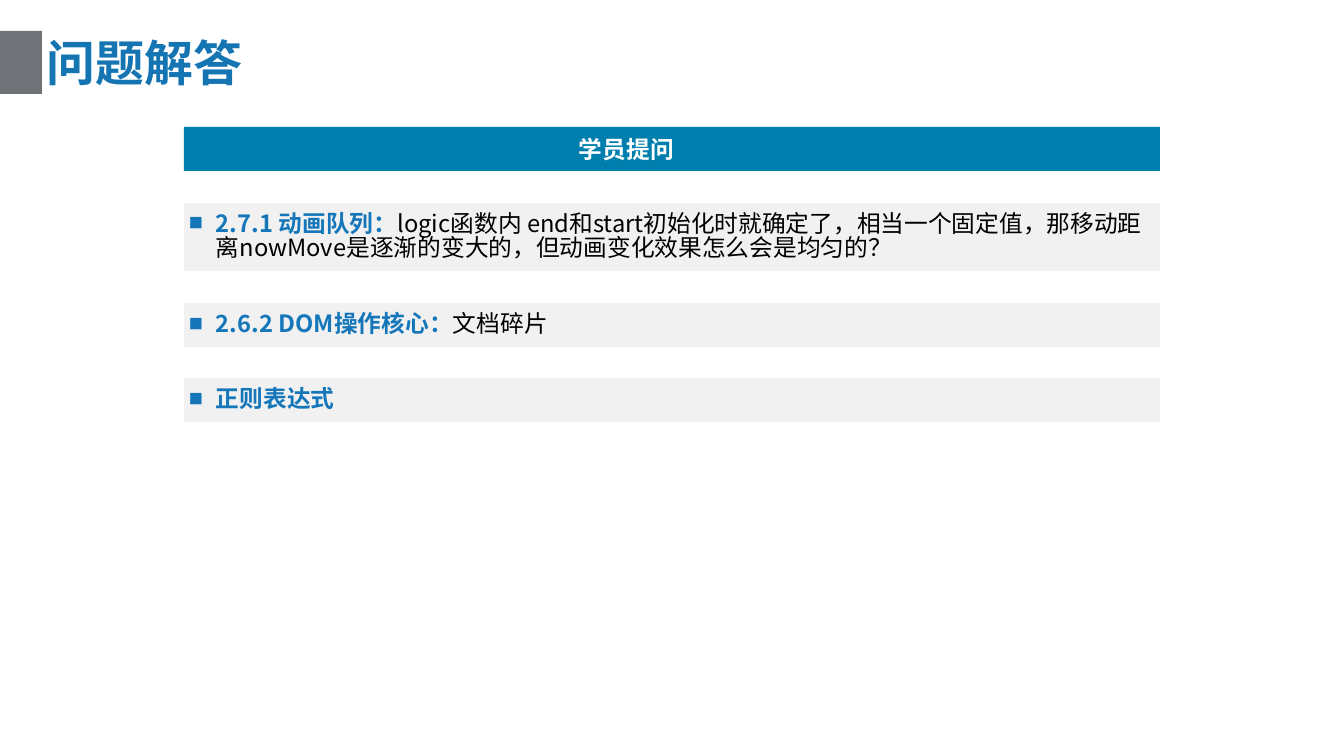
from lxml.etree import SubElement
from pptx import Presentation
from pptx.dml.color import RGBColor
from pptx.enum.shapes import MSO_SHAPE as Shape
from pptx.enum.text import MSO_ANCHOR as Anchor, PP_ALIGN as Align
from pptx.oxml.ns import qn
from pptx.util import Pt

EMU_PER_PX = 17145
FONT = "Noto Sans CJK SC"
COLORS = {
    "title": "1475B2",
    "marker": "6F7378",
    "header": "007FAE",
    "row": "F1F1F1",
    "topic": "1577BA",
    "white": "FFFFFF",
    "black": "000000",
}
BAR_LEFT, BAR_WIDTH, BAR_HEIGHT = 184, 976, 44
INSET = 5
BULLET_INDENT = 27
HEADER_INDENT = 390

# Top, height, topic and question of each row
QUESTIONS = [
    (203, 68, "2.7.1 动画队列：",
     "logic函数内 end和start初始化时就确定了，相当一个固定值，"
     "那移动距离nowMove是逐渐的变大的，但动画变化效果怎么会是均匀的？"),
    (303, BAR_HEIGHT, "2.6.2 DOM操作核心：", "文档碎片"),
    (378, BAR_HEIGHT, "正则表达式", ""),
]


def px(value):
    return value * EMU_PER_PX


def color(name):
    return RGBColor.from_string(COLORS[name])


def set_frame(box):
    frame = box.text_frame
    frame.word_wrap = True
    frame.vertical_anchor = Anchor.MIDDLE
    frame.margin_left = frame.margin_right = px(INSET)
    frame.margin_top = frame.margin_bottom = 0
    para = frame.paragraphs[0]
    para.alignment = Align.LEFT
    return para


def add_span(para, text, size, color_name, bold):
    span = para.add_run()
    span.text = text
    span.font.size = Pt(size)
    span.font.bold = bold
    span.font.name = FONT
    span.font.color.rgb = color(color_name)
    east_asian = SubElement(span.font._element, qn("a:ea"))
    east_asian.set("typeface", FONT)


def add_bar(page, left, top, width, height, fill):
    bar = page.shapes.add_shape(
        Shape.RECTANGLE, px(left), px(top), px(width), px(height))
    bar.shadow.inherit = False
    bar.fill.solid()
    bar.fill.fore_color.rgb = color(fill)
    bar.line.fill.background()
    return bar


def set_indent(para, left, first=0):
    props = para._p.get_or_add_pPr()
    props.set("marL", str(px(left)))
    props.set("indent", str(px(first)))
    return props


def add_bullet(para):
    props = set_indent(para, BULLET_INDENT, -BULLET_INDENT)
    SubElement(props, qn("a:buSzPct")).set("val", "60000")
    SubElement(props, qn("a:buFont")).set("typeface", FONT)
    SubElement(props, qn("a:buChar")).set("char", "■")


def add_title(page, text):
    add_bar(page, 0, 31, 42, 63, "marker")
    box = page.shapes.add_textbox(px(42), px(30), px(1260), px(64))
    add_span(set_frame(box), text, 66, "title", True)


def add_header(page, text):
    bar = add_bar(page, BAR_LEFT, 127, BAR_WIDTH, BAR_HEIGHT, "header")
    para = set_frame(bar)
    set_indent(para, HEADER_INDENT)
    add_span(para, text, 32, "white", True)


def add_question(page, top, height, topic, question):
    bar = add_bar(page, BAR_LEFT, top, BAR_WIDTH, height, "row")
    para = set_frame(bar)
    para.line_spacing = 0.85
    add_bullet(para)
    add_span(para, topic, 32, "topic", True)
    if question:
        add_span(para, question, 32, "black", False)


def main():
    deck = Presentation()
    deck.slide_width, deck.slide_height = px(1344), px(756)
    page = deck.slides.add_slide(deck.slide_layouts[6])

    # Title with its side marker
    add_title(page, "问题解答")

    # Header bar and question rows
    add_header(page, "学员提问")
    for row in QUESTIONS:
        add_question(page, *row)

    deck.save("out.pptx")


if __name__ == "__main__":
    main()
